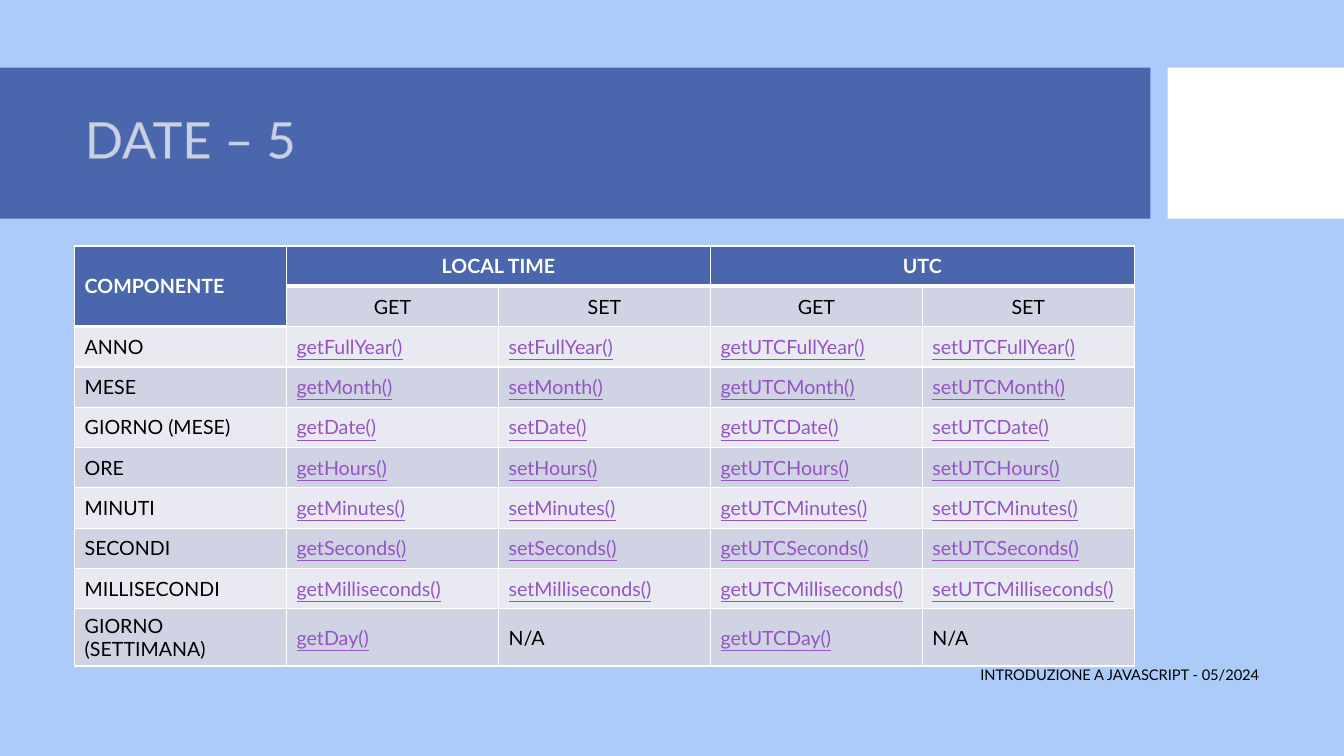
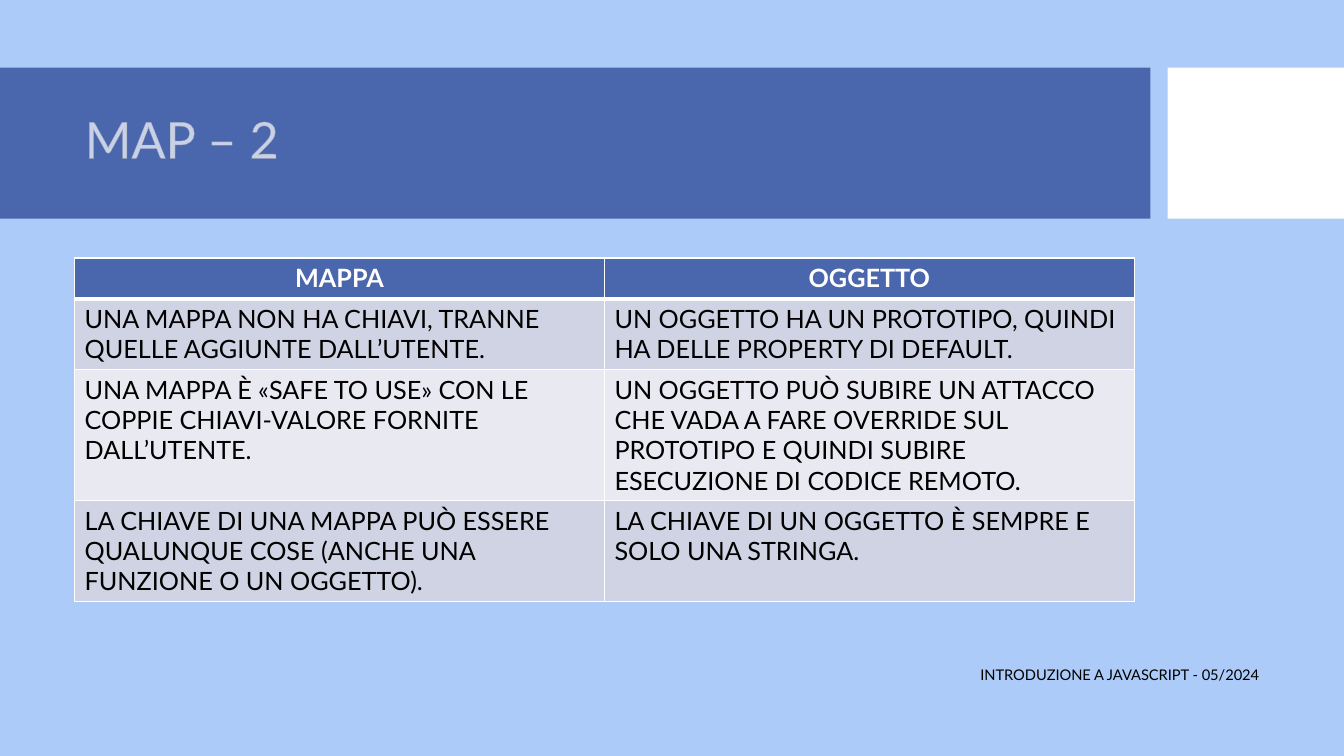
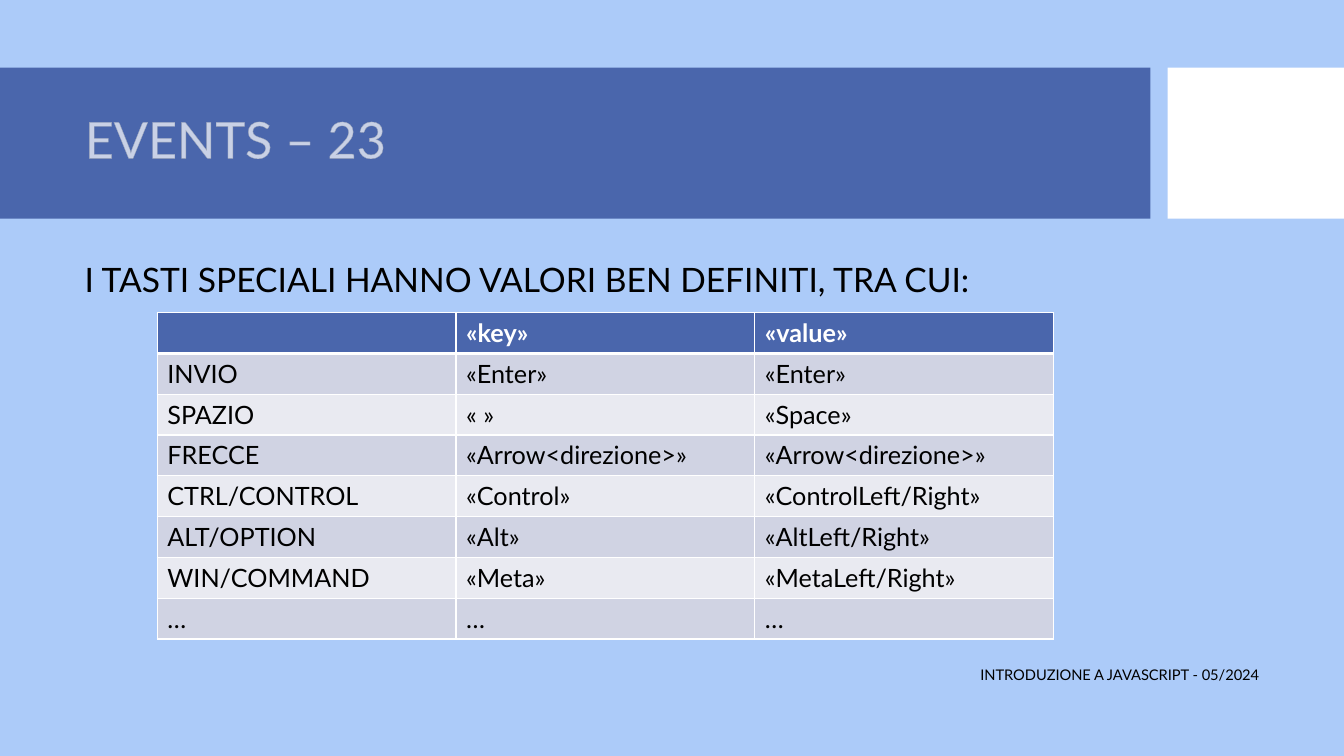
from pptx import Presentation
from pptx.dml.color import RGBColor
from pptx.enum.shapes import MSO_SHAPE
from pptx.enum.text import MSO_ANCHOR, PP_ALIGN
from pptx.oxml import parse_xml
from pptx.oxml.ns import nsdecls
from pptx.util import Inches, Pt

RECTANGLE = MSO_SHAPE.RECTANGLE
TOP, MIDDLE = MSO_ANCHOR.TOP, MSO_ANCHOR.MIDDLE
LEFT, CENTER, RIGHT = PP_ALIGN.LEFT, PP_ALIGN.CENTER, PP_ALIGN.RIGHT

THEME = {
    "font": "Lato",
    "background": "ACCBF9",
    "primary": "4A66AC",
    "white": "FFFFFF",
    "black": "000000",
    "outline": "BFBFBF",
    "link": "9454C3",
    "bands": ("E9EAF1", "D0D3E3"),
    "title_size": 36,
    "body_size": 24,
    "table_size": 18,
    "small_table_size": 14,
    "footer_size": 10.5,
}

FOOTER = "INTRODUZIONE A JAVASCRIPT - 05/2024"

# Date methods: every component has a getter and a setter, local and UTC
date_rows = [
    ["COMPONENTE", "LOCAL TIME", "", "UTC", ""],
    ["", "GET", "SET", "GET", "SET"],
]
for component, method in [
    ("ANNO", "FullYear"), ("MESE", "Month"), ("GIORNO (MESE)", "Date"),
    ("ORE", "Hours"), ("MINUTI", "Minutes"), ("SECONDI", "Seconds"),
    ("MILLISECONDI", "Milliseconds"),
]:
    date_rows.append([component] + [
        f"{verb}{zone}{method}()" for zone in ("", "UTC") for verb in ("get", "set")])
date_rows.append(["GIORNO (SETTIMANA)", "getDay()", "N/A", "getUTCDay()", "N/A"])

map_rows = [
    ["MAPPA", "OGGETTO"],
    ["UNA MAPPA NON HA CHIAVI, TRANNE QUELLE AGGIUNTE DALL’UTENTE.",
     "UN OGGETTO HA UN PROTOTIPO, QUINDI HA DELLE PROPERTY DI DEFAULT."],
    ["UNA MAPPA È «SAFE TO USE» CON LE COPPIE CHIAVI-VALORE FORNITE DALL’UTENTE.",
     "UN OGGETTO PUÒ SUBIRE UN ATTACCO CHE VADA A FARE OVERRIDE SUL PROTOTIPO "
     "E QUINDI SUBIRE ESECUZIONE DI CODICE REMOTO."],
    ["LA CHIAVE DI UNA MAPPA PUÒ ESSERE QUALUNQUE COSE (ANCHE UNA FUNZIONE O UN OGGETTO).",
     "LA CHIAVE DI UN OGGETTO È SEMPRE E SOLO UNA STRINGA."],
]

event_rows = [
    ["", "«key»", "«value»"],
    ["INVIO", "«Enter»", "«Enter»"],
    ["SPAZIO", "« »", "«Space»"],
    ["FRECCE", "«Arrow<direzione>»", "«Arrow<direzione>»"],
    ["CTRL/CONTROL", "«Control»", "«ControlLeft/Right»"],
    ["ALT/OPTION", "«Alt»", "«AltLeft/Right»"],
    ["WIN/COMMAND", "«Meta»", "«MetaLeft/Right»"],
    ["…", "…", "…"],
]

# merges are (first row, first column, last row, last column)
SLIDES = [
    {"title": "DATE – 5", "rows": date_rows, "box": (0.74, 2.44, 10.51, 4),
     "size": THEME["small_table_size"], "anchor": MIDDLE, "centered_rows": 2,
     "merges": [(0, 0, 1, 0), (0, 1, 0, 2), (0, 3, 0, 4)]},
    {"title": "MAP – 2", "rows": map_rows, "box": (0.74, 2.56, 10.51, 1.62),
     "size": THEME["table_size"], "anchor": TOP, "centered_rows": 1, "merges": []},
    {"title": "EVENTS – 23", "rows": event_rows, "box": (1.56, 3.1, 8.89, 3.24),
     "size": THEME["table_size"], "anchor": TOP, "centered_rows": 0, "merges": [],
     "body": "I TASTI SPECIALI HANNO VALORI BEN DEFINITI, TRA CUI:"},
]


def write_text(text_frame, text, size, color, paragraph_format, **font_format):
    """Fill a text frame with one formatted run and return the run."""
    paragraph = text_frame.paragraphs[0]
    for name, value in paragraph_format.items():
        setattr(paragraph, name, value)
    run = paragraph.add_run()
    run.text = text
    run.font.color.rgb = RGBColor.from_string(color)
    for name, value in {"name": THEME["font"], "size": Pt(size), **font_format}.items():
        setattr(run.font, name, value)
    return run


def line_element(tag, points, color, opacity=100):
    """Return a solid line element for a cell border or a text outline."""
    return parse_xml(
        f'<a:{tag} {nsdecls("a")} w="{Pt(points)}"><a:solidFill><a:srgbClr val="{color}">'
        f'<a:alpha val="{opacity * 1000}"/></a:srgbClr></a:solidFill>'
        f'<a:prstDash val="solid"/></a:{tag}>')


presentation = Presentation()
presentation.slide_width, presentation.slide_height = Inches(13.33), Inches(7.5)
layout = presentation.slide_layouts.get_by_name("Title Only")

# Shared background and layout
background_fill = presentation.slide_master.background.fill
background_fill.solid()
background_fill.fore_color.rgb = RGBColor.from_string(THEME["background"])
for placeholder in list(layout.placeholders):
    if placeholder.placeholder_format.idx != 0:
        layout.shapes.element.remove(placeholder.element)

slides = [presentation.slides.add_slide(layout) for content in SLIDES]

# Title bands, moved to the layout so that every slide shows them
for band_left, band_width, color in [(0, 11.41, THEME["primary"]), (11.58, 1.75, THEME["white"])]:
    band = slides[0].shapes.add_shape(
        RECTANGLE, Inches(band_left), Inches(0.67), Inches(band_width), Inches(1.5))
    band.shadow.inherit = False
    band.fill.solid()
    band.fill.fore_color.rgb = RGBColor.from_string(color)
    band.line.fill.background()
    layout.shapes.element.insert(2, band.element)

for slide, content in zip(slides, SLIDES):
    # Title, with the outline ahead of the fill
    title = slide.shapes.title
    title.left, title.top, title.width, title.height = map(Inches, (0.74, 0.82, 10.51, 1.18))
    title.text_frame.vertical_anchor = MIDDLE
    run = write_text(title.text_frame, content["title"], THEME["title_size"], THEME["white"],
                     {"alignment": LEFT, "line_spacing": 0.9})
    run.font._element.insert(0, line_element("ln", 0.25, THEME["outline"], 70))

    # Table
    rows = content["rows"]
    table = slide.shapes.add_table(
        len(rows), len(rows[0]), *map(Inches, content["box"])).table
    for first_row, first_column, last_row, last_column in content["merges"]:
        table.cell(first_row, first_column).merge(table.cell(last_row, last_column))

    for row_index, row in enumerate(rows):
        for column_index, text in enumerate(row):
            cell = table.cell(row_index, column_index)
            is_header = row_index == 0 or cell.is_spanned
            below_header = row_index > 0 and not is_header and (
                row_index == 1 or table.cell(row_index - 1, column_index).is_spanned)
            cell.vertical_anchor = content["anchor"]
            cell.fill.solid()
            cell.fill.fore_color.rgb = RGBColor.from_string(
                THEME["primary"] if is_header else THEME["bands"][row_index % 2])
            borders = {"lnL": 1, "lnR": 1, "lnT": 3 if below_header else 1,
                       "lnB": 3 if is_header else 1}
            cell_properties = cell._tc.get_or_add_tcPr()
            for position, (tag, points) in enumerate(borders.items()):
                cell_properties.insert(position, line_element(tag, points, THEME["white"]))
            if not text:
                continue
            is_link = text.endswith("()")
            is_centered = row_index < content["centered_rows"] and cell.span_height == 1
            color = THEME["white"] if is_header else THEME["link" if is_link else "black"]
            write_text(cell.text_frame, text, content["size"], color,
                       {"alignment": CENTER if is_centered else LEFT},
                       bold=is_header, underline=is_link)

    # Body text and footer, in front of the table
    text_boxes = [((0.74, 6.49, 11.85, 0.4), FOOTER, THEME["footer_size"], MIDDLE,
                   {"alignment": RIGHT})]
    if "body" in content:
        text_boxes.insert(0, ((0.74, 2.56, 10.51, 0.5), content["body"], THEME["body_size"], TOP,
                              {"alignment": LEFT, "line_spacing": 0.9}))
    for box, text, size, anchor, paragraph_format in text_boxes:
        text_frame = slide.shapes.add_textbox(*map(Inches, box)).text_frame
        text_frame.word_wrap = True
        text_frame.vertical_anchor = anchor
        write_text(text_frame, text, size, THEME["black"], paragraph_format)

presentation.save("out.pptx")
